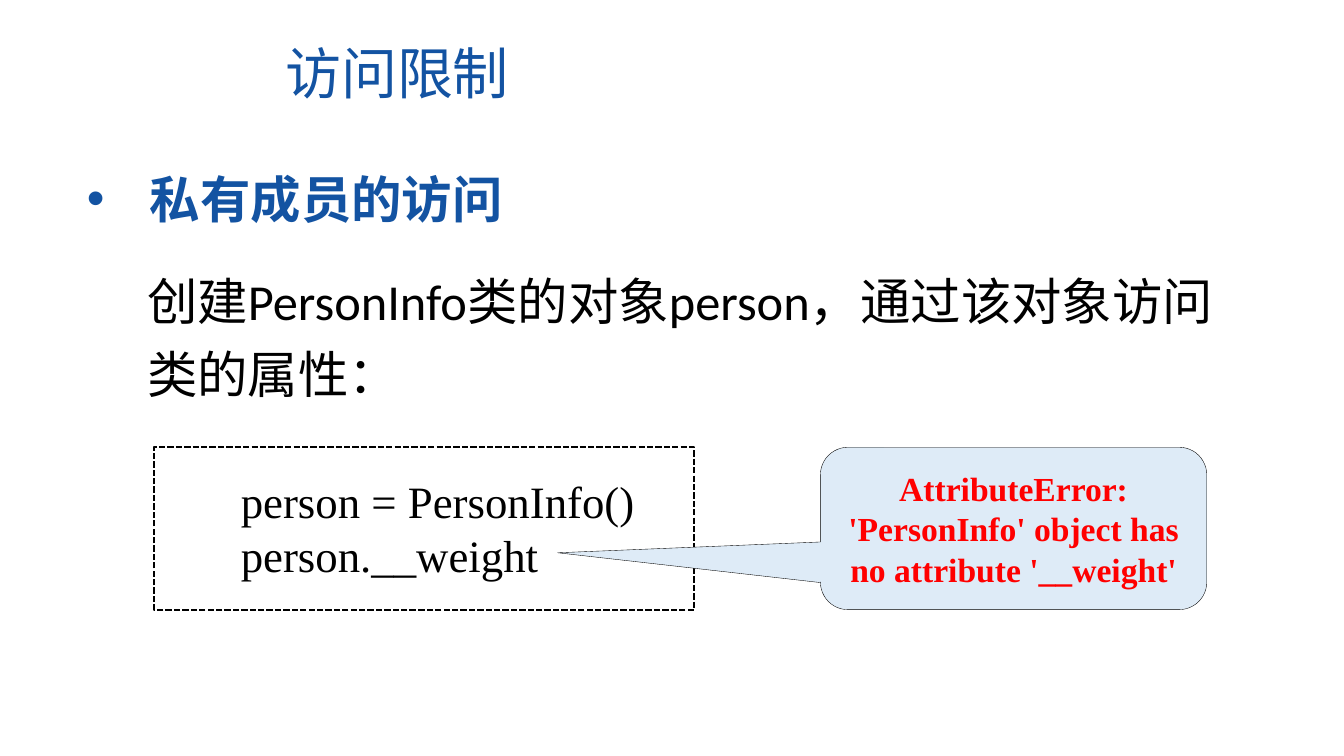
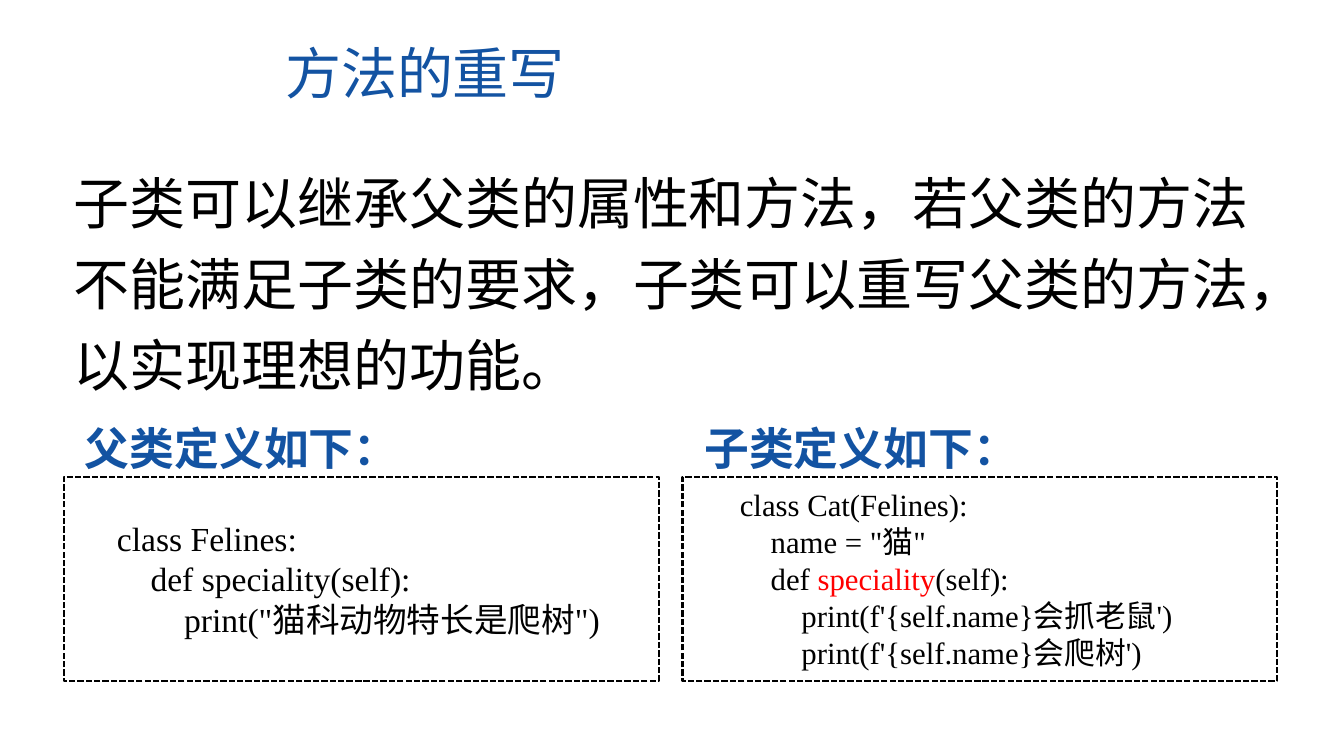
from pptx import Presentation
from pptx.dml.color import RGBColor
from pptx.enum.dml import MSO_LINE
from pptx.enum.shapes import MSO_SHAPE
from pptx.enum.text import MSO_ANCHOR, MSO_AUTO_SIZE, PP_ALIGN
from pptx.oxml.ns import qn
from pptx.oxml.xmlchemy import OxmlElement
from pptx.util import Pt

RECTANGLE = MSO_SHAPE.RECTANGLE
CALLOUT = MSO_SHAPE.ROUNDED_RECTANGULAR_CALLOUT
DASH = MSO_LINE.SQUARE_DOT
TOP, MIDDLE = MSO_ANCHOR.TOP, MSO_ANCHOR.MIDDLE
LEFT, CENTER = PP_ALIGN.LEFT, PP_ALIGN.CENTER
TITLE_ONLY = 5

COLORS = {"blue": "1353A2", "black": "000000", "red": "FF0000", "pale": "DEEBF7"}
CHINESE, BODY, CODE = "Noto Sans CJK SC", "Calibri", "Times New Roman"
SINGLE, WIDE = 1.2, 1.45


def color(name):
    return RGBColor.from_string(COLORS[name])


def write(shape, lines, font_name, size, color_name, bold=False, spacing=SINGLE,
          align=LEFT, anchor=TOP):
    frame = shape.text_frame
    frame.word_wrap = True
    frame.auto_size = MSO_AUTO_SIZE.NONE
    frame.vertical_anchor = anchor
    for index, (level, runs) in enumerate(lines):
        paragraph = frame.paragraphs[0] if index == 0 else frame.add_paragraph()
        paragraph.alignment = align
        paragraph.line_spacing = Pt(round(size * spacing, 1))
        font = paragraph.font
        font.name, font.size, font.bold = font_name, Pt(size), bold
        font.color.rgb = color(color_name)
        properties = paragraph._p.get_or_add_pPr()
        if level:
            properties.set("marL", "0")
            properties.set("indent", str(Pt(level * size)))
        east_asian = OxmlElement("a:ea")
        east_asian.set("typeface", CHINESE)
        properties.find(qn("a:defRPr")).find(qn("a:latin")).addnext(east_asian)
        for text, run_color in runs:
            run = paragraph.add_run()
            run.text = text
            if run_color:
                run.font.color.rgb = color(run_color)


presentation = Presentation()
presentation.slide_width, presentation.slide_height = Pt(960), Pt(540)

slides = []
for heading in ("访问限制", "方法的重写"):
    slide = presentation.slides.add_slide(presentation.slide_layouts[TITLE_ONLY])
    title = slide.shapes.title
    title.left, title.top, title.width, title.height = Pt(196.5), Pt(24), Pt(423), Pt(55)
    write(title, [(0, [(heading, None)])], CHINESE, 40, "blue")
    slides.append(slide)
access_slide, override_slide = slides

texts = [
    (access_slide, (55, 116.5, 576, 51), "私有成员的访问", CHINESE, 36, "blue", True, SINGLE),
    (access_slide, (98, 180.5, 792, 112),
     "创建PersonInfo类的对象person，通过该对象访问类的属性：", BODY, 36, "black", False, WIDE),
    (override_slide, (45.5, 106.5, 885, 177),
     "子类可以继承父类的属性和方法，若父类的方法不能满足子类的要求，"
     "子类可以重写父类的方法，以实现理想的功能。", CHINESE, 40, "black", False, WIDE),
    (override_slide, (53.5, 289, 239, 54), "父类定义如下：", CHINESE, 32, "blue", True, WIDE),
    (override_slide, (496, 289, 239, 54), "子类定义如下：", CHINESE, 32, "blue", True, WIDE),
]
text_boxes = []
for slide, box, text, font_name, size, color_name, bold, spacing in texts:
    text_box = slide.shapes.add_textbox(*map(Pt, box))
    write(text_box, [(0, [(text, None)])], font_name, size, color_name, bold, spacing)
    text_boxes.append(text_box)

bullet_properties = text_boxes[0].text_frame.paragraphs[0]._p.pPr
bullet_properties.set("marL", str(Pt(45)))
bullet_properties.set("indent", str(Pt(-45)))
bullet_font = OxmlElement("a:buFont")
bullet_font.set("typeface", "Arial")
bullet = OxmlElement("a:buChar")
bullet.set("char", "•")
for element in (bullet_font, bullet):
    bullet_properties.find(qn("a:defRPr")).addprevious(element)

code_blocks = [
    (access_slide, (110, 319.5, 386, 116), (62, 19), 32, [
        (0, [("person = PersonInfo()", None)]),
        (0, [("person.__weight", None)]),
    ]),
    (override_slide, (45.5, 340.5, 425, 146), (38, 29.5), 24, [
        (0, [("class Felines:", None)]),
        (1, [("def speciality(self):", None)]),
        (2, [('print("猫科动物特长是爬树")', None)]),
    ]),
    (override_slide, (487.5, 340.5, 425, 146), (41, 6.5), 22, [
        (0, [("class Cat(Felines):", None)]),
        (1, [('name = "猫"', None)]),
        (1, [("def ", None), ("speciality", "red"), ("(self):", None)]),
        (2, [("print(f'{self.name}会抓老鼠')", None)]),
        (2, [("print(f'{self.name}会爬树')", None)]),
    ]),
]
for slide, box, (margin_left, margin_top), size, lines in code_blocks:
    code_box = slide.shapes.add_shape(RECTANGLE, *map(Pt, box))
    code_box.shadow.inherit = False
    code_box.fill.background()
    code_box.line.color.rgb = color("black")
    code_box.line.width = Pt(1.5)
    code_box.line.dash_style = DASH
    frame = code_box.text_frame
    frame.margin_left, frame.margin_top = Pt(margin_left), Pt(margin_top)
    frame.margin_right, frame.margin_bottom = Pt(38), Pt(0)
    write(code_box, lines, CODE, size, "black")

error_callout = access_slide.shapes.add_shape(CALLOUT, Pt(586), Pt(319.5), Pt(276), Pt(116))
error_callout.shadow.inherit = False
for index, value in enumerate((-1.18, 0.15, 0.17)):
    error_callout.adjustments[index] = value
error_callout.fill.solid()
error_callout.fill.fore_color.rgb = color("pale")
error_callout.line.color.rgb = color("black")
error_callout.line.width = Pt(0.25)
error_message = "AttributeError: 'PersonInfo' object has no attribute '__weight'"
write(error_callout, [(0, [(error_message, None)])], CODE, 24, "red", True,
      align=CENTER, anchor=MIDDLE)

presentation.save("out.pptx")
